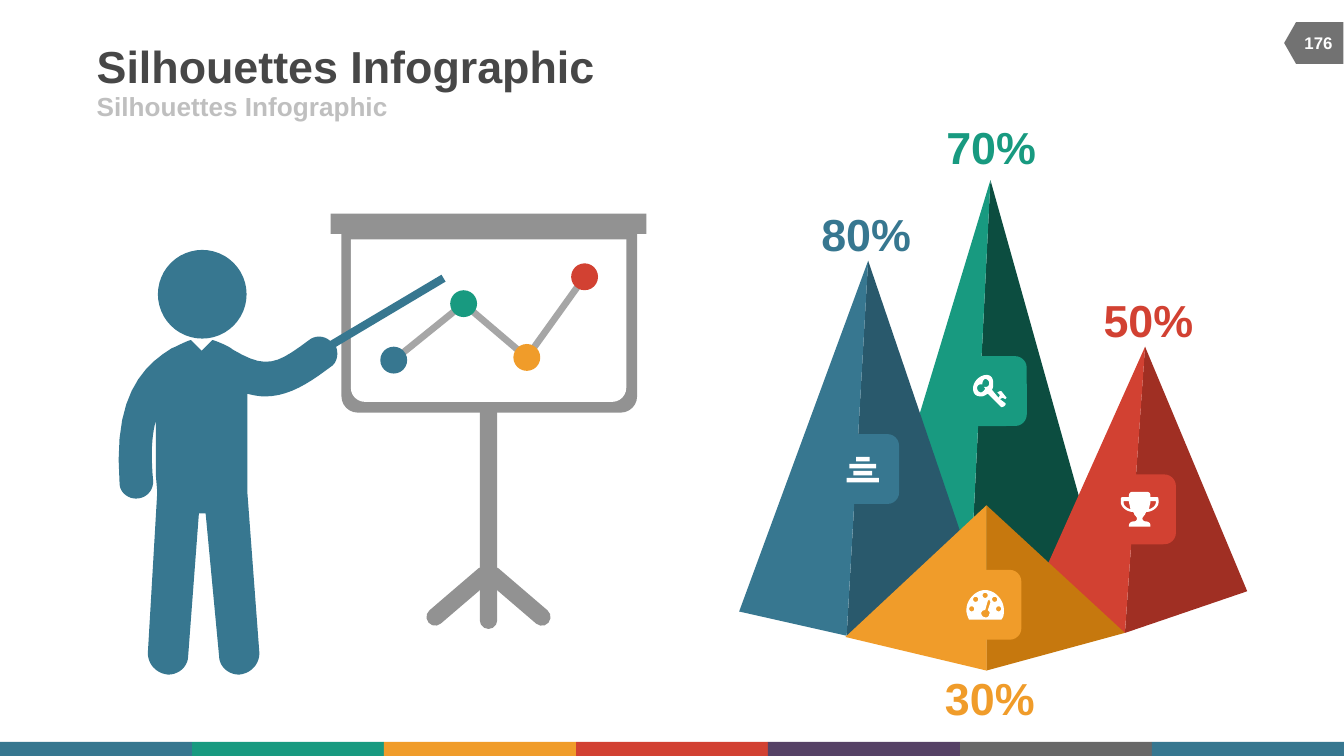
import math
import pptx
import pptx.util
import pptx.dml.color
import pptx.enum.shapes
import pptx.enum.text
import pptx.oxml

RGB = pptx.dml.color.RGBColor
KIND = pptx.enum.shapes.MSO_SHAPE
ALIGN = pptx.enum.text.PP_ALIGN
ANCHOR = pptx.enum.text.MSO_ANCHOR

BLUE, NAVY = RGB(0x37, 0x77, 0x90), RGB(0x29, 0x59, 0x6C)
GREEN, PINE = RGB(0x18, 0x9A, 0x80), RGB(0x0C, 0x4D, 0x40)
RED, BRICK = RGB(0xD2, 0x41, 0x32), RGB(0xA0, 0x2F, 0x23)
GOLD, AMBER = RGB(0xF0, 0x9C, 0x2A), RGB(0xC6, 0x78, 0x0E)
PURPLE, SLATE = RGB(0x56, 0x42, 0x66), RGB(0x68, 0x68, 0x68)
DARK, TAG = RGB(0x47, 0x47, 0x47), RGB(0x72, 0x72, 0x72)
GRAY, LINE = RGB(0x92, 0x92, 0x92), RGB(0xA6, 0xA6, 0xA6)
PALE, WHITE = RGB(0xBF, 0xBF, 0xBF), RGB(0xFF, 0xFF, 0xFF)

# Grid of square cells: 100 columns by 56.25 rows
COLS, ROWS = 100, 56.25
WIDE = pptx.util.Inches(10)
CELL = WIDE / COLS


def emu(cells):
    return pptx.util.Emu(round(cells * CELL))


def sub(box, x, y, w=0, h=0):
    """Box of w by h cells at x, y inside another box."""
    return box[0] + x, box[1] + y, w, h


# Drawing helpers
def paint(shape, color):
    shape.shadow.inherit = False
    shape.fill.solid()
    shape.fill.fore_color.rgb = color
    shape.line.fill.background()
    return shape


def block(slide, kind, box, color, turn=0, bend=None):
    shape = paint(slide.shapes.add_shape(kind, *map(emu, box)), color)
    shape.rotation = turn
    if bend is not None:
        shape.adjustments[0] = bend
    return shape


def rod(slide, start, end, color, size):
    line = slide.shapes.add_connector(
        pptx.enum.shapes.MSO_CONNECTOR.STRAIGHT,
        *map(emu, (*start[:2], *end[:2])))
    line.line.color.rgb = color
    line.line.width = pptx.util.Pt(size)
    props = line.element.spPr
    props.append(props.makeelement(pptx.oxml.ns.qn("a:effectLst"), {}))


def trace(steps, parts=10):
    """Pairs are corners; sextets are Bezier curves, cut into short lines."""
    dots = []
    for step in steps:
        if len(step) == 2:
            dots.append(step)
            continue
        a, b, c, d = dots[-1], step[:2], step[2:4], step[4:]
        for i in range(1, parts + 1):
            t = i / parts
            mix = ((1 - t) ** 3, 3 * t * (1 - t) ** 2, 3 * t * t * (1 - t), t ** 3)
            dots.append(tuple(sum(m * p[k] for m, p in zip(mix, (a, b, c, d)))
                              for k in (0, 1)))
    return dots


def outline(slide, box, color, *loops):
    """One filled shape; inner loops become holes."""
    pen = None
    for loop in loops:
        spots = [(emu(box[0] + x), emu(box[1] + y)) for x, y in trace(loop)]
        if pen is None:
            pen = slide.shapes.build_freeform(*spots[0], scale=1.0)
        else:
            pen.move_to(*spots[0])
        pen.add_line_segments(spots[1:], close=True)
    paint(pen.convert_to_shape(), color)


def write(slide, words, box, size, color, align=ALIGN.LEFT,
          anchor=ANCHOR.MIDDLE, wrap=True):
    frame = slide.shapes.add_textbox(*map(emu, box)).text_frame
    frame.margin_left = frame.margin_right = 0
    frame.margin_top = frame.margin_bottom = 0
    frame.word_wrap, frame.vertical_anchor = wrap, anchor
    para = frame.paragraphs[0]
    para.alignment = align
    run = para.add_run()
    run.text = words
    font = run.font
    font.name, font.size, font.bold = "Arial", pptx.util.Pt(size), True
    font.color.rgb = color


# Icon loops, in cells from the icon's centre
def mirror(half):
    dots = trace(half)
    return dots + [(-x, y) for x, y in reversed(dots)]


def ring(x, y, r):
    return [(x + r * math.cos(i * math.pi / 10), y + r * math.sin(i * math.pi / 10))
            for i in range(20)]


def bars():
    return [[(-w, y), (w, y), (w, y + 0.34), (-w, y + 0.34)]
            for w, y in ((w, -0.9 + 0.52 * i)
                         for i, w in enumerate((0.5, 1, 0.7, 1.2)))]


def key():
    return [
        [(1.1, 0.6), (0.9, 0.5), (0.7, 0.6), (1.1, 0.9), (1.2, 1, 1, 1.2, 0.8, 1.2),
         (-0.2, 0.2), (-0.4, 0.3, -0.5, 0.4, -0.7, 0.4),
         (-1.1, 0.4, -1.3, 0.2, -1.3, -0.2), (-1.3, -0.7, -0.8, -1.2, -0.3, -1.2),
         (0, -1.2, 0.2, -1, 0.2, -0.6), (0.2, -0.4, 0.2, -0.2, 0.1, -0.1),
         (0.6, 0.5), (0.7, 0.3), (0.5, 0.1), (0.7, 0), (0.8, 0), (1.2, 0.5)],
        [(-0.4, -0.9), (-0.5, -0.9, -0.6, -0.7, -0.6, -0.6), (-0.6, -0.5),
         (-0.7, -0.5), (-0.9, -0.5, -1, -0.4, -1, -0.2),
         (-1, -0.1, -0.9, 0.1, -0.7, 0.1), (-0.6, 0.1, -0.4, -0.1, -0.4, -0.2),
         (-0.5, -0.3), (-0.4, -0.3), (-0.2, -0.3, -0.1, -0.4, -0.1, -0.6),
         (-0.1, -0.7, -0.2, -0.9, -0.4, -0.9)]]


def gauge():
    face = [(1.2, 1.1), (-1.2, 1.1), (-1.3, 0.9, -1.4, 0.6, -1.4, 0.4),
            (-1.4, -0.4, -0.7, -1.1, 0, -1.1), (0.7, -1.1, 1.4, -0.4, 1.4, 0.4),
            (1.4, 0.6, 1.4, 0.9, 1.2, 1.1)]
    hand = [(0.4, -0.2), (0.3, -0.4), (0.2, -0.3), (0, 0.4),
            (-0.1, 0.4, -0.2, 0.4, -0.3, 0.6), (-0.3, 0.7, -0.2, 0.9, -0.1, 0.9),
            (0.1, 1, 0.3, 0.9, 0.3, 0.7), (0.4, 0.6, 0.3, 0.5, 0.2, 0.4)]
    marks = [ring(math.cos(i * math.pi / 4), 0.3 - math.sin(i * math.pi / 4), 0.19)
             for i in range(5)]
    return [face, hand, *marks]


def cup():
    half = [(0, -1.3), (0.5, -1.3), (0.7, -1.3, 0.8, -1.2, 0.8, -1), (0.8, -0.9),
            (1.3, -0.9), (1.4, -0.9, 1.4, -0.8, 1.4, -0.7), (1.4, -0.5),
            (1.4, -0.2, 1, 0.2, 0.5, 0.2), (0.4, 0.3, 0.4, 0.4, 0.4, 0.4),
            (0.3, 0.5, 0.2, 0.6, 0.2, 0.7), (0.2, 0.8, 0.3, 0.9, 0.4, 0.9),
            (0.6, 0.9, 0.8, 1, 0.8, 1.2), (0.8, 1.3), (0, 1.3)]
    grip = trace([(1.2, -0.6), (0.8, -0.6), (0.8, -0.4, 0.7, -0.2, 0.7, 0),
                  (1, -0.1, 1.2, -0.3, 1.2, -0.5)])
    return [mirror(half), grip, [(-x, y) for x, y in grip]]


# Regions
def footer(slide, box):
    hues = (BLUE, GREEN, GOLD, RED, PURPLE, SLATE, BLUE)
    step = box[2] / len(hues)
    for i, hue in enumerate(hues):
        block(slide, KIND.RECTANGLE, sub(box, i * step, 0, step, box[3]), hue)


def header(slide, box):
    write(slide, "Silhouettes Infographic", sub(box, 0, 0, 61.7, 3.9), 24, DARK)
    write(slide, "Silhouettes Infographic", sub(box, 0, 3.9, 45, 2.2), 14, PALE)


def number(slide, box):
    block(slide, KIND.FLOWCHART_OFFPAGE_CONNECTOR, sub(box, 0.2, 0, 3.1, 4.4), TAG, 90)
    write(slide, "176", sub(box, 0, 0.7, 4.2, 3), 9, WHITE, ALIGN.CENTER)


def board(slide, box):
    # Stand
    block(slide, KIND.ROUNDED_RECTANGLE, sub(box, 11.1, 9.1, 1.3, 21.8), GRAY, 0, 0.5)
    for side in (1, -1):
        block(slide, KIND.ROUNDED_RECTANGLE,
              sub(box, 11.1 + 2.15 * side, 25.4, 1.3, 6.1), GRAY, -49.4 * side, 0.5)
    # Screen
    sheet = KIND.ROUND_2_SAME_RECTANGLE
    block(slide, sheet, sub(box, 0.8, 0.8, 22, 14), GRAY, 180, 0.087)
    block(slide, KIND.RECTANGLE, sub(box, 0, 0, 23.5, 1.5), GRAY)
    block(slide, sheet, sub(box, 1.5, 1.9, 20.5, 12.1), WHITE, 180, 0.087)
    # Line with dots
    dots = ((4.7, 10.9, BLUE), (9.9, 6.7, GREEN), (14.6, 10.7, GOLD), (18.9, 4.7, RED))
    for a, b in zip(dots, dots[1:]):
        rod(slide, sub(box, *a[:2]), sub(box, *b[:2]), LINE, 3.6)
    for x, y, hue in dots:
        block(slide, KIND.OVAL, sub(box, x - 1, y - 1, 2, 2), hue)


def man(slide, box):
    rod(slide, sub(box, 16.6, 7.7), sub(box, 25, 2.7), BLUE, 4.3)
    block(slide, KIND.OVAL, sub(box, 3.75, 0.6, 6.6, 6.6), BLUE)
    outline(slide, box, BLUE, [
        # Right arm, collar, left arm
        (16.6, 7.4), (16.2, 7, 15.5, 6.9, 15, 7.3), (12.6, 9.1, 11.8, 9.5, 9.3, 8),
        (9.1, 7.8, 8.2, 7.4, 7.8, 7.3), (7, 8.1), (6.2, 7.3),
        (5.8, 7.4, 4.9, 7.9, 4.8, 7.9), (2.5, 9.3, 0.4, 11.6, 0.9, 18),
        (0.9, 18.6, 1.5, 19.1, 2.1, 19.1), (2.9, 19.1, 3.4, 18.5, 3.4, 17.8),
        (3.2, 15.8, 3.3, 14.3, 3.6, 13.3),
        # Legs
        (3.6, 17.4), (3.7, 18.6), (3, 30.6), (3, 31.4, 3.6, 32.1, 4.5, 32.2),
        (5.3, 32.2, 6, 31.6, 6, 30.8), (6.8, 20.2), (7.3, 20.2), (8.3, 30.8),
        (8.3, 31.6, 9, 32.2, 9.8, 32.2), (10.7, 32.1, 11.3, 31.4, 11.3, 30.6),
        # Side and sleeve
        (10.4, 18.6), (10.4, 11.3), (10.8, 11.4, 11.3, 11.5, 11.7, 11.5),
        (13.5, 11.5, 15, 10.5, 16.6, 9.3), (17.1, 9, 17.2, 8.3, 17, 7.8)])


def peak(slide, box, top, left, foot, right, hue, shade, words, label, badge, icon):
    outline(slide, box, shade, [foot, top, right])
    outline(slide, box, hue, [top, foot, left])
    write(slide, words, sub(box, *label, 6.7, 4), 24, hue, ALIGN.CENTER,
          ANCHOR.BOTTOM, wrap=False)
    tile = sub(box, *badge, 5.4, 5.2)
    block(slide, KIND.ROUNDED_RECTANGLE, tile, hue)
    outline(slide, sub(tile, 2.7, 2.6), WHITE, *icon)


def peaks(slide, box):
    rows = (
        ((18.7, 4.4), (9.1, 36.1), (17, 38.3), (27.4, 35.5),
         GREEN, PINE, "70%", (15.4, -0.1), (16, 17.5), key()),
        ((30.2, 16.8), (21.3, 36.7), (28.7, 38.1), (37.8, 35),
         RED, BRICK, "50%", (27.1, 12.8), (27.1, 26.3), cup()),
        ((9.6, 10.4), (0, 36.5), (8, 38.3), (18.3, 36),
         BLUE, NAVY, "80%", (6.1, 6.4), (6.5, 23.3), bars()),
        ((18.4, 28.6), (7.9, 38.4), (18.4, 40.9), (28.7, 38.1),
         GOLD, AMBER, "30%", (15.3, 40.9), (15.6, 33.4), gauge()))
    for row in rows:
        peak(slide, box, *row)


def main():
    deck = pptx.Presentation()
    deck.slide_width, deck.slide_height = WIDE, emu(ROWS)
    slide = deck.slides.add_slide(deck.slide_layouts[6])
    footer(slide, (0, ROWS - 1.05, COLS, 1.05))
    header(slide, (7.2, 2.9, 62, 6))
    number(slide, (96, 1, 4, 4.4))
    board(slide, (24.6, 15.9, 23.5, 31))
    man(slide, (8, 18, 25, 32))
    peaks(slide, (55, 9, 38, 45))
    deck.save("out.pptx")


if __name__ == "__main__":
    main()
